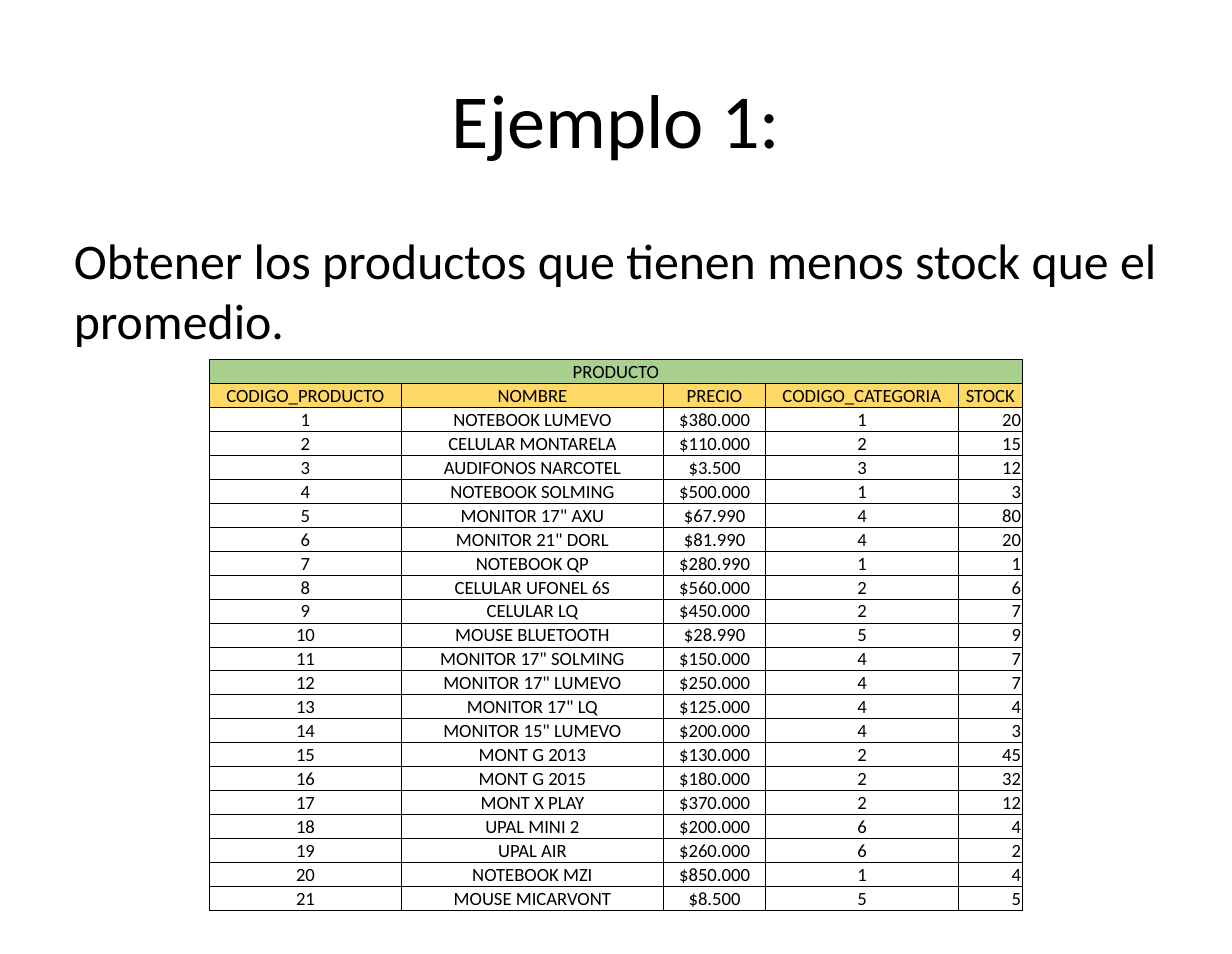
import pptx
import pptx.util
import pptx.dml.color
import pptx.enum.text
import pptx.oxml

PX = 9144
COLORS = {"ink": "000000", "table_name": "A9D08E", "heading": "FFD966"}
ALIGN = pptx.enum.text.PP_ALIGN
ANCHOR = pptx.enum.text.MSO_ANCHOR

TABLE_NAME = "PRODUCTO"
HEADINGS = ("CODIGO_PRODUCTO", "NOMBRE", "PRECIO", "CODIGO_CATEGORIA", "STOCK")
COLUMN_WIDTHS = (171, 234, 91, 172, 57)
PRODUCTS = (
    ("NOTEBOOK LUMEVO", "$380.000", 1, 20),
    ("CELULAR MONTARELA", "$110.000", 2, 15),
    ("AUDIFONOS NARCOTEL", "$3.500", 3, 12),
    ("NOTEBOOK SOLMING", "$500.000", 1, 3),
    ('MONITOR 17" AXU', "$67.990", 4, 80),
    ('MONITOR 21" DORL', "$81.990", 4, 20),
    ("NOTEBOOK QP", "$280.990", 1, 1),
    ("CELULAR UFONEL 6S", "$560.000", 2, 6),
    ("CELULAR LQ", "$450.000", 2, 7),
    ("MOUSE BLUETOOTH", "$28.990", 5, 9),
    ('MONITOR 17" SOLMING', "$150.000", 4, 7),
    ('MONITOR 17" LUMEVO', "$250.000", 4, 7),
    ('MONITOR 17" LQ', "$125.000", 4, 4),
    ('MONITOR 15" LUMEVO', "$200.000", 4, 3),
    ("MONT G 2013", "$130.000", 2, 45),
    ("MONT G 2015", "$180.000", 2, 32),
    ("MONT X PLAY", "$370.000", 2, 12),
    ("UPAL MINI 2", "$200.000", 6, 4),
    ("UPAL AIR", "$260.000", 6, 2),
    ("NOTEBOOK MZI", "$850.000", 1, 4),
    ("MOUSE MICARVONT", "$8.500", 5, 5),
)


def apply(target, formats):
    for key, value in formats.items():
        setattr(target, key, value)


def rgb(name):
    return pptx.dml.color.RGBColor.from_string(COLORS[name])


def write(frame, text, size, alignment):
    frame.text = text
    paragraph = frame.paragraphs[0]
    paragraph.alignment = alignment
    apply(paragraph.font, {"name": "Calibri", "size": pptx.util.Pt(size), "bold": False})
    paragraph.font.color.rgb = rgb("ink")


def fill_text_region(region, box, text, size, alignment, anchor):
    apply(region, dict(zip(("left", "top", "width", "height"), (v * PX for v in box))))
    apply(region.text_frame, {
        "word_wrap": True, "auto_size": pptx.enum.text.MSO_AUTO_SIZE.NONE,
        "vertical_anchor": anchor, "margin_left": 11 * PX, "margin_right": 11 * PX,
        "margin_top": 6 * PX, "margin_bottom": 6 * PX,
    })
    write(region.text_frame, text, size, alignment)


def add_borders(cell):
    properties = cell._tc.get_or_add_tcPr()
    for side in ("lnL", "lnR", "lnT", "lnB"):
        properties.append(pptx.oxml.parse_xml(
            f'<a:{side} xmlns:a="http://schemas.openxmlformats.org/drawingml/2006/main" '
            f'w="{pptx.util.Pt(0.5)}"><a:solidFill><a:srgbClr val="{COLORS["ink"]}"/>'
            f'</a:solidFill></a:{side}>'))


def format_cell(cell, text, alignment, fill_name):
    apply(cell, {"margin_left": PX, "margin_right": PX, "margin_top": PX,
                 "margin_bottom": 0, "vertical_anchor": ANCHOR.BOTTOM})
    write(cell.text_frame, text, 12, alignment)
    add_borders(cell)
    if fill_name:
        cell.fill.solid()
        cell.fill.fore_color.rgb = rgb(fill_name)
    else:
        cell.fill.background()


def add_product_table(slide, box):
    name_row = (TABLE_NAME,) + ("",) * (len(HEADINGS) - 1)
    product_rows = [(code, *product) for code, product in enumerate(PRODUCTS, 1)]
    rows = [name_row, HEADINGS, *product_rows]
    fills = ["table_name", "heading"] + [None] * len(PRODUCTS)
    table = slide.shapes.add_table(len(rows), len(HEADINGS), *(v * PX for v in box)).table
    apply(table, {"first_row": False, "horz_banding": False})
    for column, width in zip(table.columns, COLUMN_WIDTHS):
        column.width = width * PX
    for row, values, fill_name in zip(table.rows, rows, fills):
        row.height = box[3] * PX // len(rows)
        for heading, cell, value in zip(HEADINGS, row.cells, values):
            is_stock = heading == "STOCK" and fill_name is None
            format_cell(cell, str(value), ALIGN.RIGHT if is_stock else ALIGN.CENTER, fill_name)
    table.cell(0, 0).merge(table.cell(0, len(HEADINGS) - 1))


def build_example_slide(deck, box):
    left, top, width, height = box
    slide = deck.slides.add_slide(deck.slide_layouts[5])
    fill_text_region(slide.shapes.title, (left + 55, top + 34, width - 110, 142),
                     "Ejemplo 1:", 49, ALIGN.CENTER, ANCHOR.MIDDLE)
    task = slide.shapes.add_textbox(0, 0, PX, PX)
    fill_text_region(task, (left + 55, top + 199, width - 110, 562),
                     "Obtener los productos que tienen menos stock que el promedio.",
                     32, ALIGN.JUSTIFY, ANCHOR.TOP)
    table_width = sum(COLUMN_WIDTHS)
    add_product_table(slide, (left + (width - table_width) // 2, top + 321, table_width, 487))


def main():
    deck = pptx.Presentation()
    apply(deck, {"slide_width": 1099 * PX, "slide_height": 851 * PX})
    build_example_slide(deck, (0, 0, 1099, 851))
    deck.save("out.pptx")


if __name__ == "__main__":
    main()
